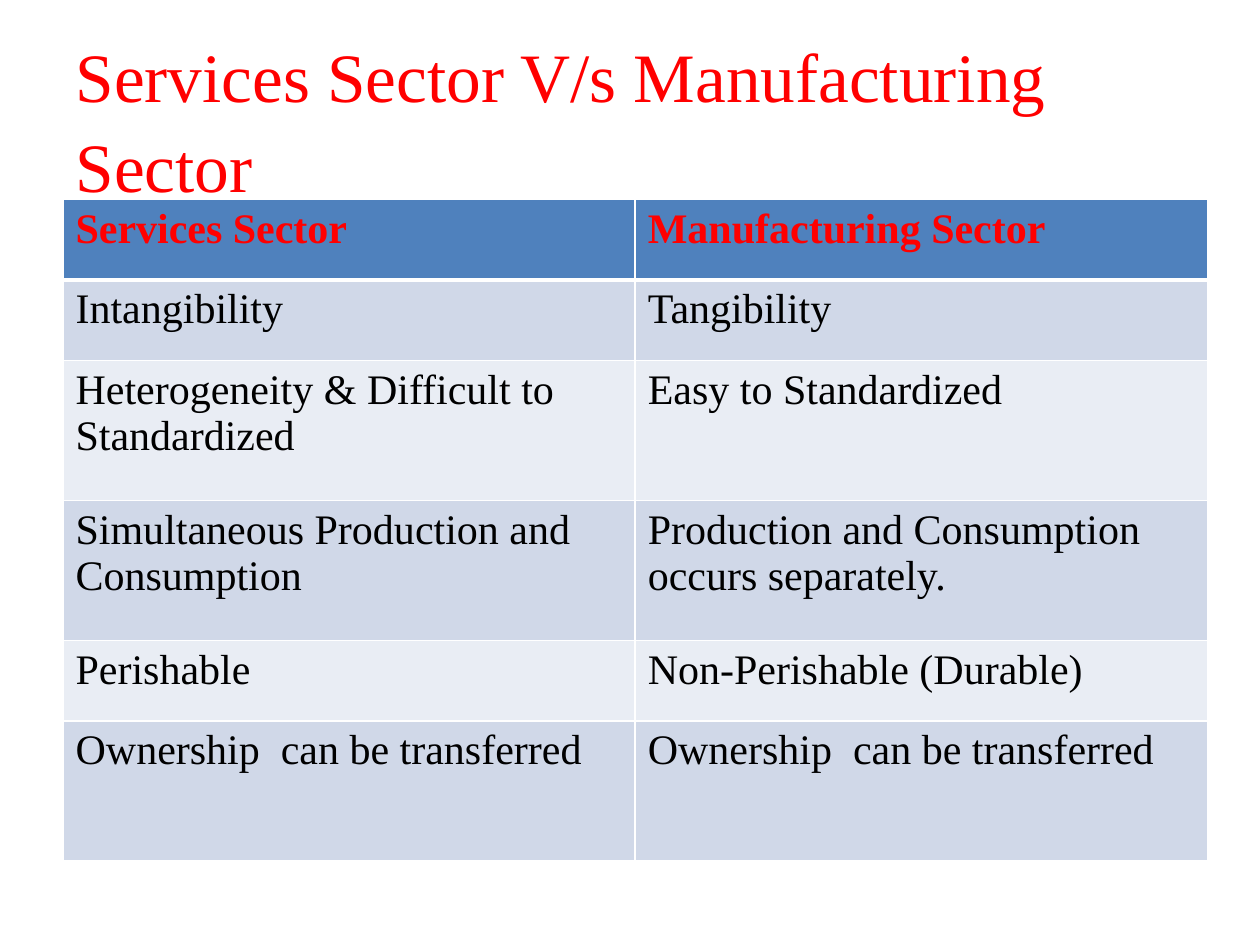
import pptx
import pptx.util
import pptx.dml.color
import pptx.enum.text
import pptx.oxml
import pptx.oxml.ns
import lxml.etree

Pt = pptx.util.Pt

HEADINGS = ("Services Sector", "Manufacturing Sector")
COMPARISON = [
    ("Intangibility", "Tangibility"),
    ("Heterogeneity & Difficult to Standardized", "Easy to Standardized"),
    ("Simultaneous Production and Consumption",
     "Production and Consumption occurs separately."),
    ("Perishable", "Non-Perishable (Durable)"),
    ("Ownership  can be transferred", "Ownership  can be transferred"),
]
SHORT_ROW, TALL_ROW = 46, 80
ROW_HEIGHTS = [SHORT_ROW, SHORT_ROW, TALL_ROW, TALL_ROW, SHORT_ROW, TALL_ROW]


def color(hex_string):
    return pptx.dml.color.RGBColor.from_string(hex_string)


class SlideBuilder:
    FONT = "Times New Roman"
    ACCENT = "FF0000"
    BODY = "000000"
    HEADER_FILL = "4F81BD"
    BANDS = ("D0D8E8", "E9EDF4")
    RULE = "FFFFFF"

    def __init__(self, slide):
        self.slide = slide

    def add_run(self, paragraph, text, size, hex_string, bold=False):
        run = paragraph.add_run()
        run.text = text
        run.font.name = self.FONT
        run.font.size = Pt(size)
        run.font.bold = bold
        run.font.color.rgb = color(hex_string)

    def title(self, text, left, top, width, height):
        heading = self.slide.shapes.title
        heading.left, heading.top = Pt(left), Pt(top)
        heading.width, heading.height = Pt(width), Pt(height)
        frame = heading.text_frame
        frame.word_wrap = True
        frame.auto_size = pptx.enum.text.MSO_AUTO_SIZE.NONE
        frame.vertical_anchor = pptx.enum.text.MSO_ANCHOR.MIDDLE
        paragraph = frame.paragraphs[0]
        paragraph.alignment = pptx.enum.text.PP_ALIGN.LEFT
        paragraph.line_spacing = 1.08
        self.add_run(paragraph, text, 39.6, self.ACCENT)

    def borders(self, cell, **widths):
        """Draw the cell's sides, given in the order lnL, lnR, lnT, lnB."""
        properties = cell._tc.get_or_add_tcPr()
        qn = pptx.oxml.ns.qn
        for side, width in widths.items():
            line = lxml.etree.SubElement(properties, qn(f"a:{side}"), w=str(Pt(width)))
            fill = lxml.etree.SubElement(line, qn("a:solidFill"))
            lxml.etree.SubElement(fill, qn("a:srgbClr"), val=self.RULE)

    def table(self, rows, row_heights, left, top, column_width):
        columns = len(rows[0])
        grid = self.slide.shapes.add_table(
            len(rows), columns, Pt(left), Pt(top),
            Pt(column_width * columns), Pt(sum(row_heights))).table
        for column in grid.columns:
            column.width = Pt(column_width)
        for r, (texts, height) in enumerate(zip(rows, row_heights)):
            grid.rows[r].height = Pt(height)
            is_header = r == 0
            band = self.HEADER_FILL if is_header else self.BANDS[(r - 1) % 2]
            for c, text in enumerate(texts):
                cell = grid.cell(r, c)
                self.borders(cell, lnL=1, lnR=1, lnT=3 if r == 1 else 1,
                             lnB=3 if is_header else 1)
                cell.fill.solid()
                cell.fill.fore_color.rgb = color(band)
                self.add_run(cell.text_frame.paragraphs[0], text, 24,
                             self.ACCENT if is_header else self.BODY, is_header)


def main():
    presentation = pptx.Presentation()
    presentation.slide_width, presentation.slide_height = Pt(720), Pt(540)
    title_only = presentation.slide_layouts[5]
    builder = SlideBuilder(presentation.slides.add_slide(title_only))
    builder.title("Services Sector V/s Manufacturing Sector", 36, 21.6, 648, 90)
    builder.table([HEADINGS, *COMPARISON], ROW_HEIGHTS, 36, 114, 327)
    presentation.save("out.pptx")


if __name__ == "__main__":
    main()
